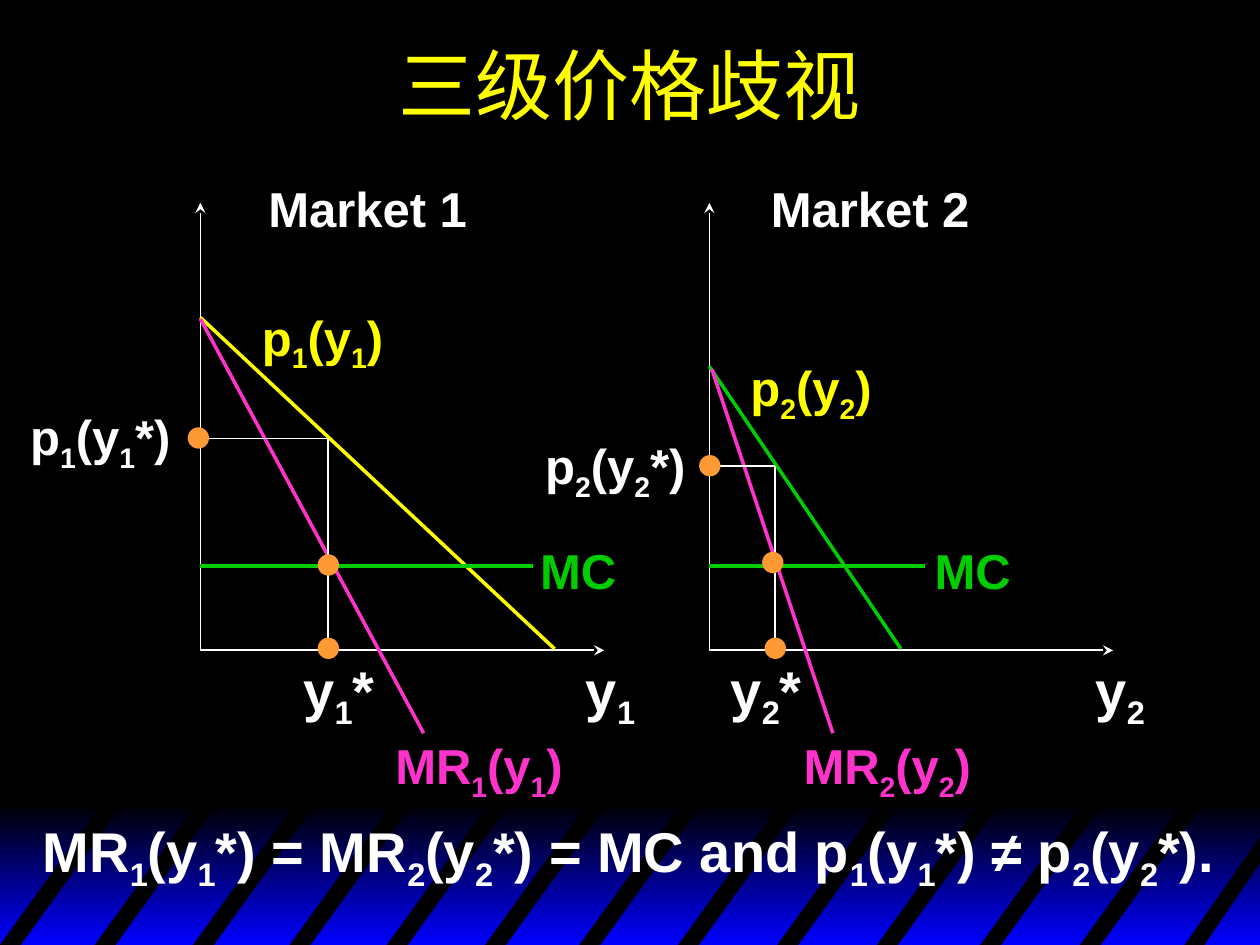
from dataclasses import dataclass

import pptx
import pptx.dml.color
import pptx.enum.shapes
import pptx.enum.text
import pptx.oxml
import pptx.oxml.ns
import pptx.util
from pptx.util import Cm

SHAPE = pptx.enum.shapes.MSO_SHAPE


@dataclass(frozen=True)
class Theme:
    black: str = "000000"
    blue: str = "0000FF"
    white: str = "FFFFFF"
    yellow: str = "FFFF00"
    green: str = "00CC00"
    pink: str = "FF33CC"
    orange: str = "FF9933"
    font: str = "Arial"
    title_font: str = "Times New Roman"
    title: int = 44
    large: int = 32
    label: int = 28
    thin: int = 1
    thick: int = 2


THEME = Theme()


@dataclass(frozen=True)
class Market:
    """Curves, dots and label corners in cm from the top left of the axes."""
    n: int
    demand_color: str
    demand: tuple
    mr: tuple
    mc_length: float
    quantity: float
    price: float
    dots: tuple
    labels: dict


MARKETS = (
    Market(1, THEME.yellow, (0, 2.31, 7.14, 8.99), (0, 2.34, 4.5, 10.69),
           6.71, 2.57, 4.75, ((2.58, 7.3), (-0.04, 4.74), (2.58, 8.98)),
           dict(mr=(3.68, 10.62), y=(7.52, 8.99), y_star=(1.83, 8.99),
                p_star=(-3.68, 3.99), mc=(6.6, 6.68), p=(0.99, 1.98),
                heading=(1.12, -0.61))),
    Market(2, THEME.green, (0, 3.3, 3.86, 8.99), (0.05, 3.35, 2.49, 10.69),
           4.34, 1.32, 5.31, ((1.28, 7.25), (0.01, 5.3), (1.33, 8.98)),
           dict(mr=(1.65, 10.62), y=(7.54, 8.99), y_star=(0.18, 8.99),
                p_star=(-3.56, 4.57), mc=(4.29, 6.68), p=(0.58, 3.0),
                heading=(0.99, -0.61))),
)


def rgb(color):
    return pptx.dml.color.RGBColor.from_string(color)


def paint(sp, color):
    sp.shadow.inherit = False
    sp.fill.solid()
    sp.fill.fore_color.rgb = rgb(color)
    sp.line.fill.background()


def add_line(s, x1, y1, x2, y2, color, width, arrow=False):
    line = s.shapes.add_connector(pptx.enum.shapes.MSO_CONNECTOR.STRAIGHT,
                                  Cm(x1), Cm(y1), Cm(x2), Cm(y2))
    line.line.color.rgb = rgb(color)
    line.line.width = pptx.util.Pt(width)
    if arrow:
        ln = line.line._get_or_add_ln()
        tail = pptx.oxml.parse_xml(
            f'<a:tailEnd {pptx.oxml.ns.nsdecls("a")} type="stealth"/>')
        ln.append(tail)
    line._element.spPr.append(pptx.oxml.parse_xml(
        f'<a:effectLst {pptx.oxml.ns.nsdecls("a")}/>'))


def add_label(s, x, y, w, text, color, size):
    """Add a one-line label; the character after each "_" is a subscript."""
    sp = s.shapes.add_textbox(Cm(x), Cm(y), Cm(w),
                              Cm(1.6 if size == THEME.large else 1.45))
    tf = sp.text_frame
    tf.word_wrap = False
    tf.auto_size = pptx.enum.text.MSO_AUTO_SIZE.SHAPE_TO_FIT_TEXT
    p = tf.paragraphs[0]
    first, *rest = text.split("_")
    pieces = [(first, False)]
    for part in rest:
        pieces += [(part[0], True), (part[1:], False)]
    for piece, subscript in pieces:
        if not piece:
            continue
        r = p.add_run()
        r.text = piece
        r.font.name = THEME.font
        r.font.size = pptx.util.Pt(size)
        r.font.bold = True
        r.font.color.rgb = rgb(color)
        if subscript:
            r._r.get_or_add_rPr().set("baseline", "-25000")


def add_polygon(s, points, color):
    (x, y), *rest = [(Cm(px), Cm(py)) for px, py in points]
    builder = s.shapes.build_freeform(x, y, scale=1.0)
    builder.add_line_segments(rest, close=True)
    paint(builder.convert_to_shape(), color)


def add_striped_band(s, x, y, w, h):
    band = s.shapes.add_shape(SHAPE.RECTANGLE, Cm(x), Cm(y + 0.1),
                              Cm(w), Cm(h - 0.1))
    paint(band, THEME.black)
    band.fill.gradient()
    band.fill.gradient_angle = 270
    for stop, color, position in zip(band.fill.gradient_stops,
                                     (THEME.black, THEME.blue), (0, 1)):
        stop.color.rgb = rgb(color)
        stop.position = position

    bottom, right = y + h, x + w
    slant, stripe = 2.13, 0.42
    for offset in (0, 1.91, 3.89, 5.84, 7.8, 9.78, 11.68,
                   13.67, 15.67, 17.68, 19.76, 21.77):
        left = x + offset
        add_polygon(s, [(left, bottom), (left + slant, y),
                        (left + slant + stripe, y), (left + stripe, bottom)],
                    THEME.black)
    add_polygon(s, [(right - 1.52, bottom), (right, y + 0.77),
                    (right, y + 1.3), (right - 1.12, bottom)], THEME.black)


def add_title(s, x, y, w, h, text):
    tf = s.shapes.add_textbox(Cm(x), Cm(y), Cm(w), Cm(h)).text_frame
    tf.word_wrap = True
    tf.vertical_anchor = pptx.enum.text.MSO_ANCHOR.MIDDLE
    p = tf.paragraphs[0]
    p.text = text
    p.alignment = pptx.enum.text.PP_ALIGN.CENTER
    font = p.runs[0].font
    font.name = THEME.title_font
    font.size = pptx.util.Pt(THEME.title)
    font.color.rgb = rgb(THEME.yellow)


def add_market(s, x, y, w, h, m):
    """Draw one market's diagram with its axes filling the given box."""
    t = THEME
    mc = 7.32
    lines = (
        ((0, h, 0, 0), t.white, t.thin, True),
        ((0, h, w, h), t.white, t.thin, True),
        (m.demand, m.demand_color, t.thick, False),
        (m.mr, t.pink, t.thick, False),
        ((0, mc, m.mc_length, mc), t.green, t.thick, False),
        ((m.quantity, h, m.quantity, m.price), t.white, t.thin, False),
        ((m.quantity, m.price, 0, m.price), t.white, t.thin, False),
    )
    for (x1, y1, x2, y2), color, width, arrow in lines:
        add_line(s, x + x1, y + y1, x + x2, y + y2, color, width, arrow)

    size = 0.43
    for cx, cy in m.dots:
        dot = s.shapes.add_shape(SHAPE.OVAL, Cm(x + cx - size / 2),
                                 Cm(y + cy - size / 2), Cm(size), Cm(size))
        paint(dot, t.orange)

    n = m.n
    labels = (
        ("mr", f"MR_{n}(y_{n})", 4.01, t.pink, t.label),
        ("y", f"y_{n}", 1.55, t.white, t.large),
        ("y_star", f"y_{n}*", 1.98, t.white, t.large),
        ("p_star", f"p_{n}(y_{n}*)", 3.45, t.white, t.label),
        ("mc", "MC", 2.06, t.green, t.label),
        ("p", f"p_{n}(y_{n})", 3.07, t.yellow, t.label),
        ("heading", f"Market {n}", 4.52, t.white, t.label),
    )
    for key, text, width, color, font_size in labels:
        dx, dy = m.labels[key]
        add_label(s, x + dx, y + dy, width, text, color, font_size)


def main():
    prs = pptx.Presentation()
    prs.slide_width, prs.slide_height = Cm(25.4), Cm(19.05)
    s = prs.slides.add_slide(prs.slide_layouts[6])
    s.background.fill.solid()
    s.background.fill.fore_color.rgb = rgb(THEME.black)

    add_striped_band(s, 0, 16.1, 25.4, 2.95)
    add_title(s, 0, 0, 25.4, 3.38, "三级价格歧视")
    for left, market in zip((4.04, 14.3), MARKETS):
        add_market(s, left, 4.09, 8.14, 9.02, market)
    add_label(s, 0.61, 16.33, 24.49,
              "MR_1(y_1*) = MR_2(y_2*) = MC and p_1(y_1*) ≠ p_2(y_2*).",
              THEME.white, THEME.large)
    prs.save("out.pptx")


if __name__ == "__main__":
    main()
